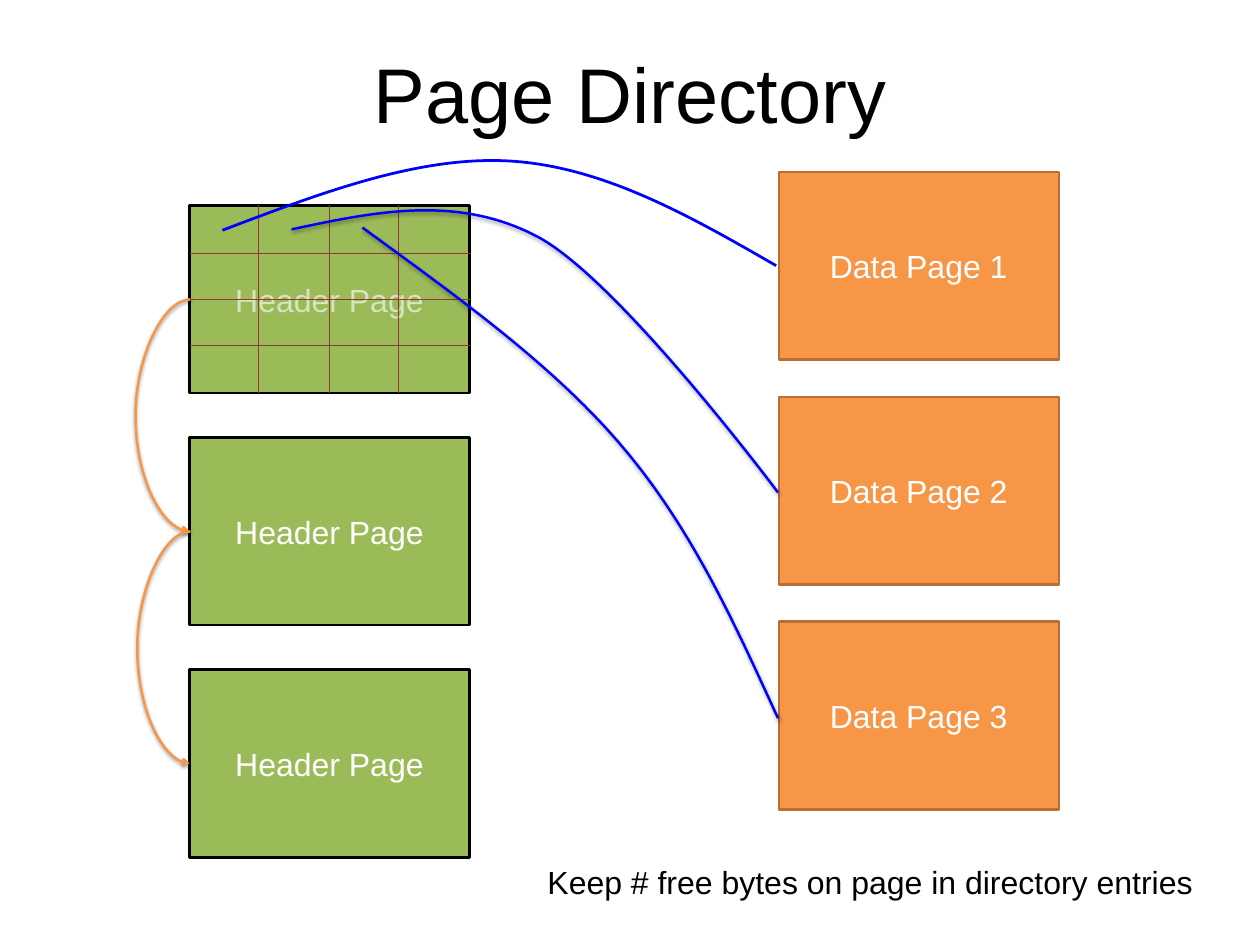
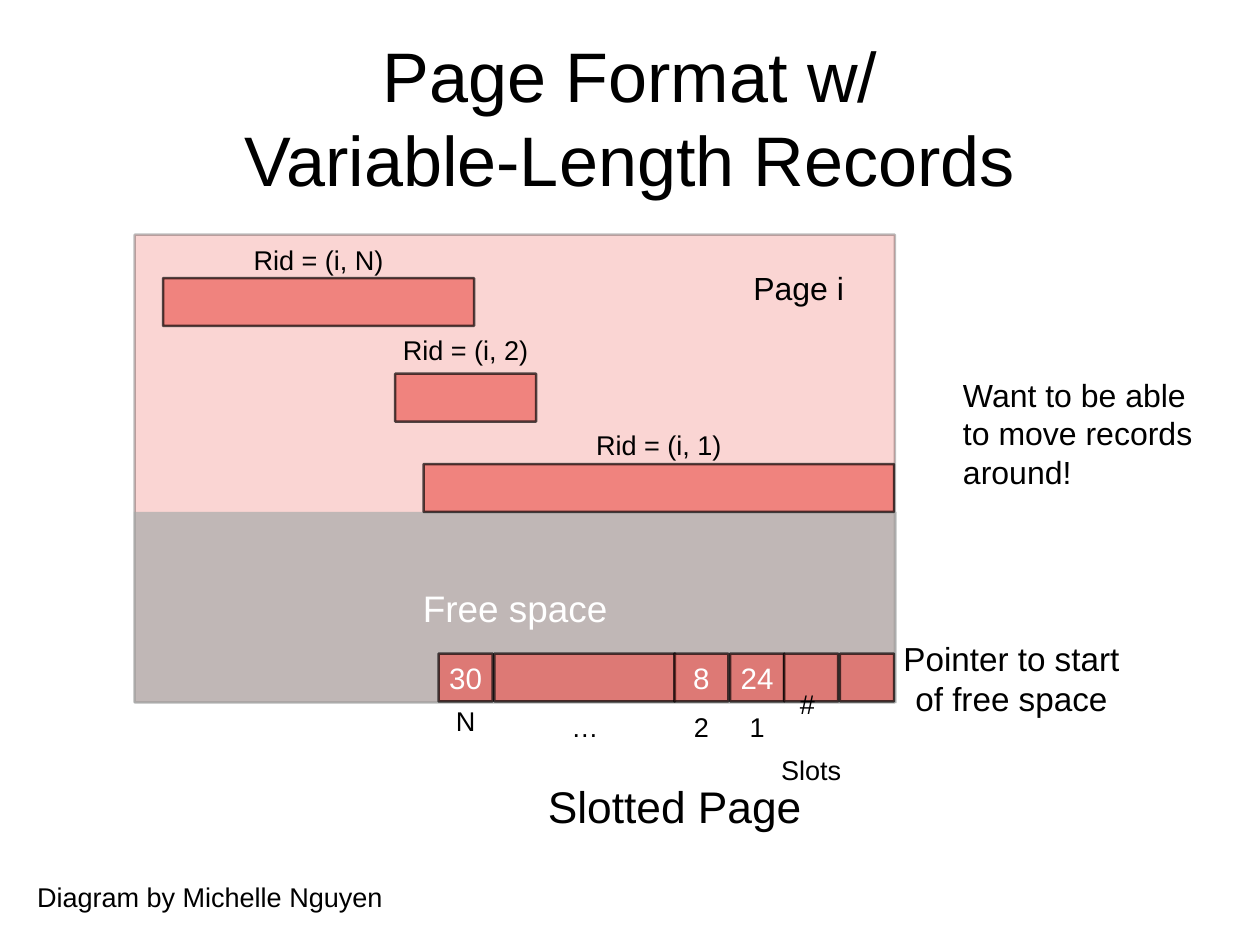
"""Build two slides on database page layout: a page directory and a slotted page."""
from dataclasses import dataclass
from typing import Optional

from lxml.etree import SubElement
from pptx import Presentation
from pptx.dml.color import RGBColor
from pptx.enum.shapes import MSO_CONNECTOR as Link, MSO_SHAPE as Preset
from pptx.enum.text import MSO_ANCHOR as Anchor, MSO_AUTO_SIZE as AutoSize, PP_ALIGN as Align
from pptx.oxml.ns import qn
from pptx.util import Inches, Pt

BLACK = RGBColor(0x00, 0x00, 0x00)
WHITE = RGBColor(0xFF, 0xFF, 0xFF)
GREEN = RGBColor(0x9B, 0xBB, 0x59)
PALE_GREEN = RGBColor(0xD7, 0xE4, 0xBD)
ORANGE = RGBColor(0xF7, 0x96, 0x46)
DARK_ORANGE = RGBColor(0xB7, 0x6F, 0x34)
DARK_RED = RGBColor(0x95, 0x37, 0x35)
BLUE = RGBColor(0x00, 0x00, 0xFF)
CORAL = RGBColor(0xEC, 0x5D, 0x57)
GREY = RGBColor(0xA6, 0xAA, 0xA9)

FONT = "Arial"
TITLE_ONLY = 5
PAGE_WIDTH, PAGE_HEIGHT = 3.16, 2.12
HEADER_LEFT, HEADER_TOP, HEADER_STEP = 2.14, 2.32, 2.62
DATA_LEFT, DATA_TOP, DATA_STEP = 8.79, 1.94, 2.54
ENTRY_COLUMNS = (2.92, 3.72, 4.5)
ENTRY_ROWS = (2.86, 3.38, 3.9)
CHAIN_OFFSET = 0.01
BAR_HEIGHT, LABEL_HEIGHT, SLOT_TOP = 0.54, 0.48, 7.38
TIGHT = (0.06, 0.06)


@dataclass(frozen=True)
class Pointer:
    """Cubic Bézier points from a directory entry to a data page, and the curve's highest y."""
    points: tuple
    top: float
    width: float = 2
    shadow: bool = True


@dataclass(frozen=True)
class Record:
    """A stored record with its Rid label above it."""
    left: float
    top: float
    width: float
    rid: str
    label_top: float
    label_width: float


@dataclass(frozen=True)
class Slot:
    """A slot directory entry with an optional caption below it."""
    left: float
    width: float = 0.61
    value: str = ""
    caption: str = ""
    caption_width: float = 0.28
    caption_top: float = 7.97
    caption_height: float = LABEL_HEIGHT


POINTERS = (
    Pointer(((2.51, 2.6), (3.62, 2.18), (4.74, 1.75), (5.78, 1.82),
             (6.82, 1.89), (7.79, 2.44), (8.76, 3)), 1.81, 2.25, False),
    Pointer(((3.29, 2.59), (4.23, 2.39), (5.17, 2.19), (6.08, 2.68),
             (7, 3.18), (8.78, 5.56), (8.78, 5.56)), 2.37),
    Pointer(((4.09, 2.57), (5.16, 3.35), (6.24, 4.12), (7.02, 5.04),
             (7.81, 5.97), (8.29, 7.04), (8.78, 8.11)), 2.57),
)
RECORDS = (
    Record(1.84, 3.14, 3.51, "Rid = (i, N)", 2.69, 1.62),
    Record(4.46, 4.22, 1.59, "Rid = (i, 2)", 3.71, 1.57),
    Record(4.78, 5.24, 5.31, "Rid = (i, 1)", 4.78, 1.57),
)
SLOTS = (
    Slot(4.95, value="30", caption="N", caption_width=0.33, caption_top=7.9),
    Slot(5.58, 2.04, caption="…", caption_width=0.42),
    Slot(7.61, value="8", caption="2"),
    Slot(8.24, value="24", caption="1"),
    Slot(8.85, caption="# \nSlots", caption_width=0.87, caption_top=7.89, caption_height=0.85),
    Slot(9.48),
)


def write(shape, text: str, *, size: float, color: RGBColor = BLACK, align=Align.CENTER,
          anchor=Anchor.MIDDLE, margins: tuple = (0.1, 0.05), wrap: bool = True,
          gap: float = 0) -> None:
    """Fill a shape's text frame, one paragraph per line, and format it."""
    frame = shape.text_frame
    frame.text = text
    frame.word_wrap = wrap
    frame.auto_size = AutoSize.NONE
    frame.vertical_anchor = anchor
    frame.margin_left = frame.margin_right = Inches(margins[0])
    frame.margin_top = frame.margin_bottom = Inches(margins[1])
    for index, paragraph in enumerate(frame.paragraphs):
        paragraph.alignment = align
        paragraph.space_before = Pt(gap if index else 0)
        for run in paragraph.runs:
            run.font.name = FONT
            run.font.size = Pt(size)
            run.font.color.rgb = color


def add_text(slide, text: str, left: float, top: float, width: float, height: float, **style) -> None:
    """Add a text box."""
    box = slide.shapes.add_textbox(Inches(left), Inches(top), Inches(width), Inches(height))
    write(box, text, **style)


def add_titled_slide(deck, title: str, top: float, size: float):
    """Add a title-only slide and place its title."""
    slide = deck.slides.add_slide(deck.slide_layouts[TITLE_ONLY])
    heading = slide.shapes.title
    heading.left, heading.top = Inches(0.71), Inches(top)
    heading.width, heading.height = Inches(12.8), Inches(1.78)
    write(heading, title, size=size, margins=(0.14, 0.07))
    return slide


def set_alpha(fill, percent: int) -> None:
    """Make a solid fill partly transparent."""
    color = fill._xPr.find(qn("a:solidFill"))[0]
    SubElement(color, qn("a:alpha"), val=str(percent * 1000))


def add_rect(slide, left: float, top: float, width: float, height: float, fill: RGBColor,
             line: Optional[RGBColor] = BLACK, alpha: int = 100):
    """Add a rectangle whose fill and outline share one opacity."""
    rect = slide.shapes.add_shape(Preset.RECTANGLE, Inches(left), Inches(top),
                                  Inches(width), Inches(height))
    rect.shadow.inherit = False
    rect.fill.solid()
    rect.fill.fore_color.rgb = fill
    paints = [rect.fill]
    if line is None:
        rect.line.fill.background()
    else:
        rect.line.color.rgb = line
        rect.line.width = Pt(2)
        paints.append(rect.line.fill)
    if alpha < 100:
        for paint in paints:
            set_alpha(paint, alpha)
    return rect


def set_effects(shape, shadow: bool) -> None:
    """Replace the inherited effects by none or by a soft drop shadow."""
    properties = shape._element.spPr
    for inherited in properties.findall(qn("a:effectLst")):
        properties.remove(inherited)
    effects = SubElement(properties, qn("a:effectLst"))
    if shadow:
        drop = SubElement(effects, qn("a:outerShdw"), blurRad=str(Pt(3.1)), dist=str(Pt(1.6)),
                          dir="5400000", rotWithShape="0")
        black = SubElement(drop, qn("a:srgbClr"), val=str(BLACK))
        SubElement(black, qn("a:alpha"), val="38000")


def add_link(slide, kind, start: tuple, end: tuple, color: RGBColor, width: float,
             shadow: bool = False):
    """Add a connector between two points."""
    link = slide.shapes.add_connector(kind, *map(Inches, start + end))
    link.line.color.rgb = color
    link.line.width = Pt(width)
    set_effects(link, shadow)
    return link


def add_entry_grid(slide, header) -> None:
    """Rule the header page into directory entries, gluing the middle lines."""
    right, bottom = HEADER_LEFT + PAGE_WIDTH, HEADER_TOP + PAGE_HEIGHT
    columns = [((x, HEADER_TOP), (x, bottom)) for x in ENTRY_COLUMNS]
    rows = [((HEADER_LEFT, y), (right, y)) for y in ENTRY_ROWS]
    for rules, begin_side, end_side in ((columns, 0, 2), (rows, 1, 3)):
        for index, (start, end) in enumerate(rules):
            rule = add_link(slide, Link.STRAIGHT, start, end, DARK_RED, 0.75)
            if index == 1:
                rule.begin_connect(header, begin_side)
                rule.end_connect(header, end_side)


def add_chain(slide, upper, lower, middle: float, bulge: float) -> None:
    """Curve an arrow from one header page's left side to the next."""
    start = (HEADER_LEFT + CHAIN_OFFSET, middle)
    chain = add_link(slide, Link.CURVE, start, (HEADER_LEFT, middle + HEADER_STEP),
                     ORANGE, 2, shadow=True)
    chain.begin_connect(upper, 1)
    chain.end_connect(lower, 1)
    chain.begin_x = Inches(start[0])
    guides = chain._element.spPr.find(qn("a:prstGeom")).get_or_add_avLst()
    SubElement(guides, qn("a:gd"), name="adj1", fmla=f"val {round(bulge / CHAIN_OFFSET * 100000)}")
    SubElement(chain.line._get_or_add_ln(), qn("a:tailEnd"), type="arrow")


def bend(curve, points: tuple) -> None:
    """Redraw a freeform's outline as cubic Bézier segments in its own box."""
    outline = next(curve._element.iter(qn("a:path")))
    for command in list(outline):
        outline.remove(command)
    outline.set("w", str(curve.width))
    outline.set("h", str(curve.height))
    segments = [("a:moveTo", points[:1])]
    segments += [("a:cubicBezTo", points[i:i + 3]) for i in range(1, len(points), 3)]
    for tag, stops in segments:
        command = SubElement(outline, qn(tag))
        for x, y in stops:
            SubElement(command, qn("a:pt"), x=str(Inches(x) - curve.left),
                       y=str(Inches(y) - curve.top))


def add_pointer(slide, pointer: Pointer) -> None:
    """Draw the curve from a directory entry to its data page."""
    anchors = [tuple(map(Inches, point)) for point in pointer.points[::3]]
    builder = slide.shapes.build_freeform(*anchors[0])
    builder.add_line_segments(anchors[1:], close=False)
    curve = builder.convert_to_shape()
    curve.top = Inches(pointer.top)
    curve.height = anchors[-1][1] - curve.top
    bend(curve, pointer.points)
    curve.fill.background()
    curve.line.color.rgb = BLUE
    curve.line.width = Pt(pointer.width)
    set_effects(curve, pointer.shadow)


def build_page_directory(deck) -> None:
    """Build the slide with header pages pointing at data pages."""
    slide = add_titled_slide(deck, "Page Directory", 0.16, 63)
    headers = []
    for index, color in enumerate((PALE_GREEN, WHITE, WHITE)):
        header = add_rect(slide, HEADER_LEFT, HEADER_TOP + index * HEADER_STEP,
                          PAGE_WIDTH, PAGE_HEIGHT, GREEN)
        write(header, "Header Page", size=26, color=color)
        headers.append(header)
    for index, bulge in enumerate((0.63, 0.61)):
        middle = HEADER_TOP + PAGE_HEIGHT / 2 + index * HEADER_STEP
        add_chain(slide, headers[index], headers[index + 1], middle, bulge)
    add_entry_grid(slide, headers[0])
    for index in range(len(POINTERS)):
        data_page = add_rect(slide, DATA_LEFT, DATA_TOP + index * DATA_STEP,
                             PAGE_WIDTH, PAGE_HEIGHT, ORANGE, DARK_ORANGE)
        write(data_page, f"Data Page {index + 1}", size=26, color=WHITE)
    for pointer in POINTERS:
        add_pointer(slide, pointer)
    add_text(slide, "Keep # free bytes on page in directory entries", 6.08, 9.69, 7.68, 0.54,
             size=26, align=Align.LEFT, anchor=Anchor.TOP, wrap=False)


def build_slotted_page(deck) -> None:
    """Build the slide with records and slots inside one page."""
    slide = add_titled_slide(deck, "Page Format w/\vVariable-Length Records", 0.43, 57)
    add_text(slide, "Slotted Page", 6.06, 8.74, 3.11, 0.72, size=36, margins=TIGHT, wrap=False)
    add_rect(slide, 1.52, 2.65, 8.58, 5.28, CORAL, alpha=26)
    free_space = add_rect(slide, 1.51, 5.78, 8.61, 2.16, GREY, None, alpha=69)
    write(free_space, "Free space", size=30, color=WHITE, margins=(0, 0))
    add_text(slide, "Page i", 8.44, 2.97, 1.15, 0.55, size=26, margins=TIGHT, wrap=False)
    for record in RECORDS:
        add_rect(slide, record.left, record.top, record.width, BAR_HEIGHT, CORAL, alpha=68)
        label_left = record.left + (record.width - record.label_width) / 2
        add_text(slide, record.rid, label_left, record.label_top, record.label_width,
                 LABEL_HEIGHT, size=22, margins=TIGHT, wrap=False)
    for slot in SLOTS:
        cell = add_rect(slide, slot.left, SLOT_TOP, slot.width, BAR_HEIGHT, CORAL, alpha=68)
        if slot.value:
            write(cell, slot.value, size=24, color=WHITE, margins=(0, 0))
        if slot.caption:
            caption_left = slot.left + (slot.width - slot.caption_width) / 2
            add_text(slide, slot.caption, caption_left, slot.caption_top, slot.caption_width,
                     slot.caption_height, size=22, margins=TIGHT, wrap=False, gap=27)
    add_text(slide, "Pointer to start of free space", 10.07, 7.15, 2.69, 1.02,
             size=27, margins=TIGHT)
    add_text(slide, "Diagram by Michelle Nguyen", 0.32, 9.89, 4.21, 0.47,
             size=22, align=Align.LEFT, anchor=Anchor.TOP, wrap=False)
    add_text(slide, "Want to be able to move records around!", 10.77, 4.19, 2.93, 1.41,
             size=26, align=Align.LEFT, anchor=Anchor.TOP)


def main() -> None:
    """Build and save the deck."""
    deck = Presentation()
    deck.slide_width, deck.slide_height = Inches(14.22), Inches(10.67)
    build_page_directory(deck)
    build_slotted_page(deck)
    deck.save("out.pptx")


if __name__ == "__main__":
    main()
